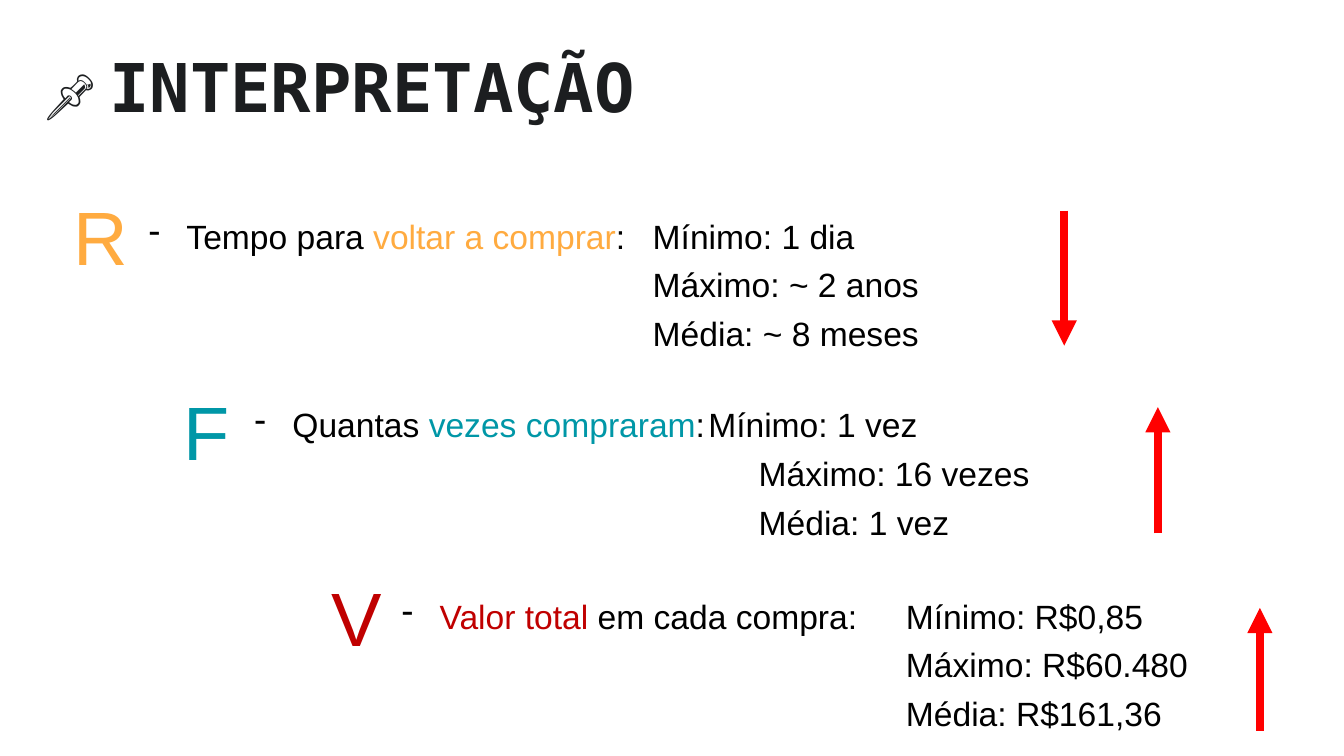
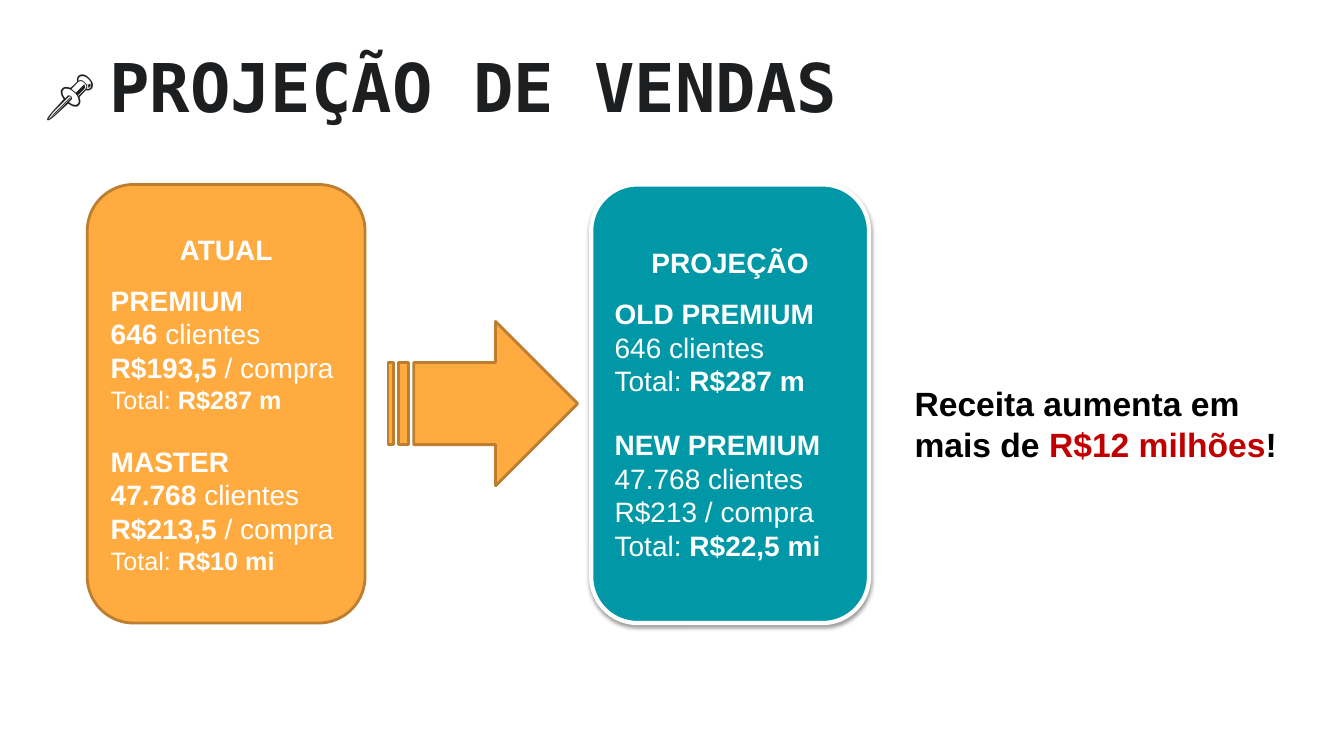
from dataclasses import dataclass
from typing import NamedTuple, Optional

from lxml import etree
from pptx import Presentation
from pptx.dml.color import RGBColor
from pptx.enum.shapes import MSO_CONNECTOR as Connector, MSO_SHAPE as Shape
from pptx.enum.text import MSO_ANCHOR as Anchor, MSO_AUTO_SIZE as AutoSize, PP_ALIGN as Align
from pptx.oxml.ns import qn
from pptx.util import Cm, Pt

BODY_FONT, TITLE_FONT = "Arial", "DejaVu Sans Mono"
INK, BLACK, WHITE = "1C1E20", "000000", "FFFFFF"
ORANGE, BROWN, TEAL, CRIMSON, RED = "FFAB40", "BD7F2F", "0097A7", "C00000", "FF0000"
TITLE_ONLY = 5
HANGING = Cm(0.95)
VALUES_INDENT = Cm(12.7)


class Span(NamedTuple):
    text: str
    color: str = BLACK
    size: float = 24
    bold: bool = False
    font: str = BODY_FONT


class Box(NamedTuple):
    """Left, top, width and height in centimetres."""
    left: float
    top: float
    width: float
    height: float

    def lengths(self) -> list:
        return [Cm(value) for value in self]


@dataclass
class Metric:
    letter: str
    color: str
    letter_box: Box
    question: list[Span]
    values: list[str]
    values_box: Box
    trend_x: float
    trend_from: float
    trend_to: float


@dataclass
class Line:
    spans: list[Span]
    before: float = 0
    align: Align = Align.LEFT


@dataclass
class Card:
    box: Box
    fill: str
    border: str
    border_width: float
    lines: list[Line]
    raised: bool = False


def rgb(color: str) -> RGBColor:
    return RGBColor.from_string(color)


def write(paragraph, spans: list[Span]) -> None:
    for span in spans:
        run = paragraph.add_run()
        run.text = span.text
        font = run.font
        font.name, font.size, font.bold = span.font, Pt(span.size), span.bold
        font.color.rgb = rgb(span.color)


def paragraph_at(frame, index: int):
    return frame.add_paragraph() if index else frame.paragraphs[0]


def add_text(slide, box: Box, spans: list[Span], wrap: bool = True):
    frame = slide.shapes.add_textbox(*box.lengths()).text_frame
    frame.word_wrap = wrap
    write(frame.paragraphs[0], spans)
    return frame


def add_titled_slide(deck, title: str):
    slide = deck.slides.add_slide(deck.slide_layouts[TITLE_ONLY])
    heading = slide.shapes.title
    heading.left, heading.top, heading.width, heading.height = Box(1.14, 0.94, 29.39, 2.24).lengths()
    frame = heading.text_frame
    frame.auto_size, frame.vertical_anchor = AutoSize.NONE, Anchor.BOTTOM
    frame.margin_left = frame.margin_top = frame.margin_right = frame.margin_bottom = 0
    frame.paragraphs[0].alignment = Align.LEFT
    write(frame.paragraphs[0], [Span("📌 ", INK, 36, True), Span(title, INK, 48, True, TITLE_FONT)])
    return slide


def set_dash_bullet(paragraph) -> None:
    props = paragraph._p.get_or_add_pPr()
    props.set("marL", str(HANGING))
    props.set("indent", str(-HANGING))
    bullet_color = etree.SubElement(props, qn("a:buClr"))
    etree.SubElement(bullet_color, qn("a:srgbClr"), val=BLACK)
    etree.SubElement(props, qn("a:buChar"), char="-")


def add_trend_arrow(slide, x: float, start: float, end: float) -> None:
    arrow = slide.shapes.add_connector(Connector.STRAIGHT, Cm(x), Cm(start), Cm(x), Cm(end))
    arrow.line.color.rgb = rgb(RED)
    arrow.line.width = Pt(6)
    etree.SubElement(arrow.line._get_or_add_ln(), qn("a:tailEnd"), type="triangle")
    etree.SubElement(arrow._element.spPr, qn("a:effectLst"))


def add_metric(slide, metric: Metric) -> None:
    """Draw the letter, the question with its values, and the trend arrow."""
    letter = add_text(slide, metric.letter_box, [Span(metric.letter, metric.color, 54)], wrap=False)
    letter.paragraphs[0].alignment = Align.CENTER

    minimum, *others = metric.values
    frame = add_text(slide, metric.values_box, [*metric.question, Span(f"\t{minimum}")])
    set_dash_bullet(frame.paragraphs[0])
    for value in others:
        paragraph = frame.add_paragraph()
        paragraph._p.get_or_add_pPr().set("marL", str(VALUES_INDENT))
        write(paragraph, [Span(value)])
    for paragraph in frame.paragraphs:
        paragraph.space_after = Pt(6)

    add_trend_arrow(slide, metric.trend_x, metric.trend_from, metric.trend_to)


def add_filled_shape(slide, kind: Shape, box: Box, fill: str, border: str, width: float):
    shape = slide.shapes.add_shape(kind, *box.lengths())
    shape.shadow.inherit = False
    shape.fill.solid()
    shape.fill.fore_color.rgb = rgb(fill)
    shape.line.color.rgb = rgb(border)
    shape.line.width = Pt(width)
    return shape


def add_soft_shadow(shape) -> None:
    effects = shape._element.spPr.find(qn("a:effectLst"))
    shadow = etree.SubElement(effects, qn("a:outerShdw"), blurRad=str(Pt(3.1)), dist=str(Pt(1.6)),
                              dir="5400000", rotWithShape="0")
    color = etree.SubElement(shadow, qn("a:srgbClr"), val=BLACK)
    etree.SubElement(color, qn("a:alpha"), val="38000")


def add_card(slide, card: Card) -> None:
    shape = add_filled_shape(slide, Shape.ROUNDED_RECTANGLE, card.box, card.fill,
                             card.border, card.border_width)
    if card.raised:
        add_soft_shadow(shape)
    frame = shape.text_frame
    frame.word_wrap, frame.vertical_anchor = True, Anchor.MIDDLE
    for index, line in enumerate(card.lines):
        paragraph = paragraph_at(frame, index)
        paragraph.alignment = line.align
        paragraph.space_before = Pt(line.before)
        write(paragraph, line.spans)


def plain(text: str, size: float = 20) -> Span:
    return Span(text, WHITE, size)


def strong(text: str, size: float = 20) -> Span:
    return Span(text, WHITE, size, True)


def heading_line(text: str) -> Line:
    return Line([strong(text)], align=Align.CENTER)


def current_group(name: str, clients: str, ticket: str, total: str, before: float) -> list[Line]:
    return [Line([strong(name)], before),
            Line([strong(clients), plain(" clientes")]),
            Line([strong(f"{ticket} "), plain("/ compra")]),
            Line([plain("Total: ", 18), strong(total, 18)])]


def projected_group(name: str, details: list[str], total: str, before: float) -> list[Line]:
    return [Line([strong(name)], before),
            *(Line([plain(detail)]) for detail in details),
            Line([plain("Total: "), strong(total)])]


AFTER_HEADING, BETWEEN_GROUPS = 12.5, 21.5

METRICS = [
    Metric("R", ORANGE, Box(1.6, 4.65, 1.9, 2.57),
           [Span("Tempo para "), Span("voltar a comprar", ORANGE), Span(": ")],
           ["Mínimo: 1 dia", "Máximo: ~ 2 anos", "Média: ~ 8 meses"],
           Box(3.5, 5.31, 25.8, 3.76), 26.82, 5.31, 8.71),
    Metric("F", TEAL, Box(4.37, 9.58, 1.68, 2.57),
           [Span("Quantas "), Span("vezes compraram", TEAL), Span(":")],
           ["Mínimo: 1 vez", "Máximo: 16 vezes", "Média: 1 vez"],
           Box(6.17, 10.06, 23.24, 3.76), 29.18, 13.44, 10.26),
    Metric("V", CRIMSON, Box(8.1, 14.27, 1.8, 2.57),
           [Span("Valor total ", CRIMSON), Span("em cada compra: ")],
           ["Mínimo: R$0,85", "Máximo: R$60.480", "Média: R$161,36"],
           Box(9.88, 14.88, 23, 3.76), 31.75, 18.42, 15.32),
]

CARDS = [
    Card(Box(2.2, 4.65, 7, 11.05), ORANGE, BROWN, 2, [
        heading_line("ATUAL"),
        *current_group("PREMIUM", "646", "R$193,5", "R$287 m", AFTER_HEADING),
        *current_group("MASTER", "47.768", "R$213,5", "R$10 mi", BETWEEN_GROUPS)]),
    Card(Box(14.9, 4.65, 7, 11.05), TEAL, WHITE, 3, [
        heading_line("PROJEÇÃO"),
        *projected_group("OLD PREMIUM", ["646 clientes"], "R$287 m", AFTER_HEADING),
        *projected_group("NEW PREMIUM", ["47.768 clientes", "R$213 / compra"], "R$22,5 mi",
                         BETWEEN_GROUPS)], raised=True),
]


def build_interpretation(deck) -> None:
    slide = add_titled_slide(deck, "INTERPRETAÇÃO")
    for metric in METRICS:
        add_metric(slide, metric)


def build_projection(deck) -> None:
    slide = add_titled_slide(deck, "PROJEÇÃO DE VENDAS")
    for card in CARDS:
        add_card(slide, card)
    add_filled_shape(slide, Shape.STRIPED_RIGHT_ARROW, Box(9.78, 8.1, 4.78, 4.14), ORANGE, BROWN, 2)
    add_text(slide, Box(22.8, 9.53, 10.2, 2.3),
             [Span("Receita aumenta em mais de ", bold=True),
              Span("R$12 milhões", CRIMSON, bold=True), Span("!", bold=True)])


def main() -> None:
    deck = Presentation()
    deck.slide_width, deck.slide_height = Cm(33.87), Cm(19.05)
    build_interpretation(deck)
    build_projection(deck)
    deck.save("out.pptx")


if __name__ == "__main__":
    main()
